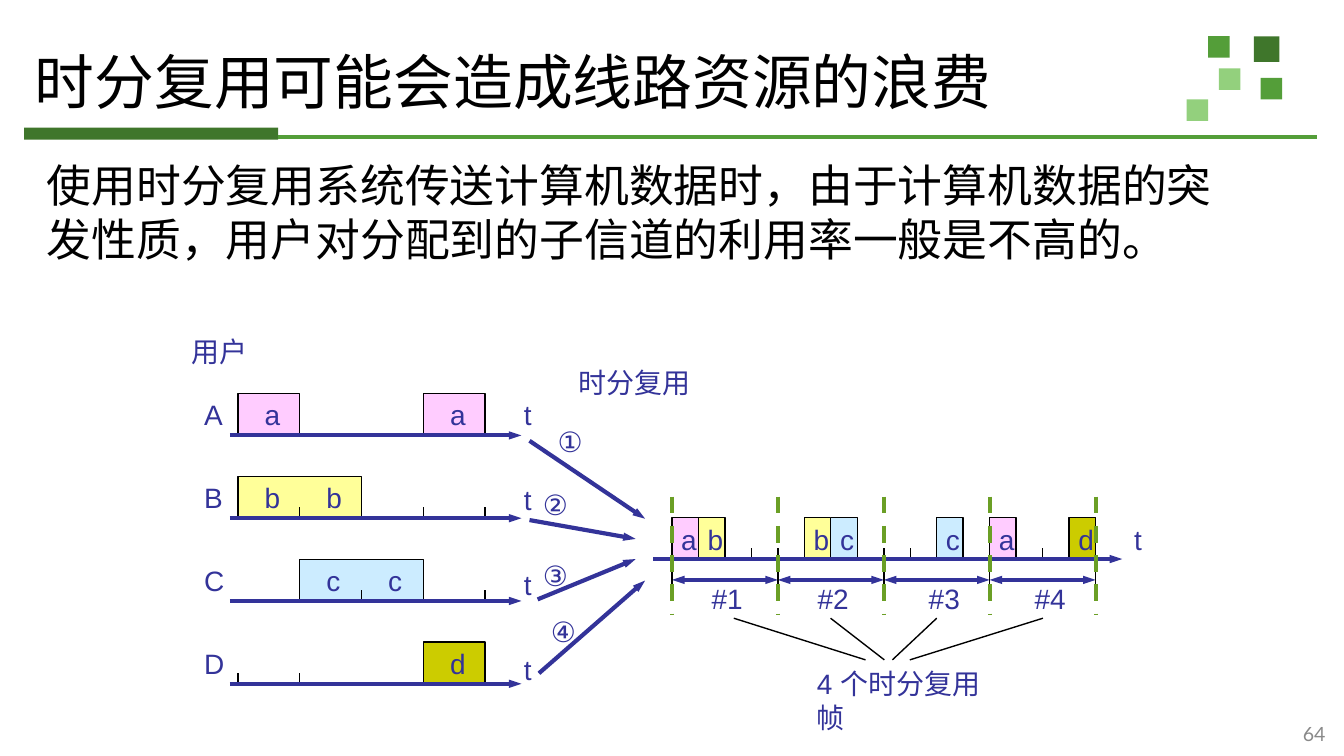
from dataclasses import dataclass

from lxml.etree import SubElement
from pptx import Presentation
from pptx.dml.color import RGBColor
from pptx.enum.dml import MSO_LINE
from pptx.enum.shapes import MSO_CONNECTOR, MSO_SHAPE
from pptx.enum.text import MSO_ANCHOR, PP_ALIGN
from pptx.oxml.ns import qn
from pptx.util import Inches, Pt


@dataclass(frozen=True)
class Theme:
    ink: str = "333399"
    black: str = "000000"
    grey: str = "898989"
    dark: str = "3F762B"
    green: str = "549E39"
    light: str = "93D07D"
    dash: str = "6B9F25"
    title: float = 32
    body: float = 24
    label: float = 15
    page: float = 10.5
    thin: float = 0.75
    thick: float = 2.25
    sans: str = "Arial"
    serif: str = "Times New Roman"
    hans: str = "Noto Sans CJK SC"


@dataclass(frozen=True)
class Grid:
    """Columns and rows counted from an origin, in inches."""
    left: float
    top: float
    col: float
    row: float

    def at(self, col: float, row: float) -> tuple[float, float]:
        return self.left + col * self.col, self.top + row * self.row


@dataclass(frozen=True)
class Block:
    col: int
    row: int
    span: int
    name: str


THEME = Theme()
PAGE = Grid(0, 0, 0.1, 0.1)
USERS = Grid(1.77, 3.24, 0.46, 0.616)
MUX = Grid(5, 4.16, 0.197, 0.31)
TIMES = Grid(3.8, 2.91, 0, 0.633)
FILLS = {"a": "FFCCFF", "b": "FFFF99", "c": "CCECFF", "d": "CCCC00"}
HIGH, TICK, LIFT = 0.31, 0.08, 0.33

SENT = [Block(0, 0, 1, "a"), Block(3, 0, 1, "a"), Block(0, 1, 2, "b"),
        Block(1, 2, 2, "c"), Block(3, 3, 1, "d")]
MERGED = [Block(6, 0, 1, "c"), Block(10, 0, 1, "c"), Block(12, 0, 1, "a"),
          Block(15, 0, 1, "d"), Block(5, 0, 1, "b"), Block(1, 0, 1, "b"),
          Block(0, 0, 1, "a")]
# Ticks as (column, row)
USER_TICKS = [(1, 1), (3, 1), (4, 1), (2, 2), (4, 2), (0, 3), (1, 3)]
MUX_TICKS = [(2, 0), (3, 0), (4, 0), (8, 0), (9, 0), (14, 0)]
# Page columns and rows: start, end
FLOWS = [(39.4, 32.8, 48, 38.6), (39.4, 38.7, 47.3, 40.1),
         (40, 44.6, 47.3, 41.6), (40.1, 50.1, 48, 43.2)]
LEADS = [(54.6, 46, 64.4, 49.1), (61.8, 46, 65.8, 49.1),
         (69.7, 46, 66.4, 49.1), (67.7, 49.1, 77.6, 46)]
# Page columns and rows, width in columns
NOTES = [("用户", 13.3, 24.4, 6.2), ("时分复用", 42.1, 26.7, 10.4),
         ("①", 40.5, 31.1, 4.1), ("②", 39.4, 35.8, 4.1),
         ("③", 39.4, 41.1, 4.1), ("④", 40, 45.2, 4.1)]
SQUARES = [(93.3, 2.7, 1.9, THEME.dark), (89.9, 2.7, 1.6, THEME.green),
           (93.8, 5.8, 1.6, THEME.green), (90.7, 5.1, 1.6, THEME.light),
           (88.3, 7.4, 1.6, THEME.light)]

deck = Presentation()
deck.slide_width = Inches(10)
deck.slide_height = deck.slide_width * 9 // 16
slide = deck.slides.add_slide(deck.slide_layouts[6])
shapes = slide.shapes


def rect(col: float, row: float, wide: float, high: float, fill: str) -> None:
    box = shapes.add_shape(MSO_SHAPE.RECTANGLE,
                           *map(Inches, PAGE.at(col, row) + PAGE.at(wide, high)))
    box.shadow.inherit = False
    box.fill.solid()
    box.fill.fore_color.rgb = RGBColor.from_string(fill)
    box.line.fill.background()


def line(start: tuple[float, float], end: tuple[float, float], hue: str = THEME.black,
         width: float = THEME.thin, heads: tuple[str, ...] = (), dash: bool = False) -> None:
    """Draw a straight line; heads names headEnd, tailEnd or both."""
    link = shapes.add_connector(MSO_CONNECTOR.STRAIGHT, *map(Inches, start + end))
    link.line.color.rgb = RGBColor.from_string(hue)
    link.line.width = Pt(width)
    if dash:
        link.line.dash_style = MSO_LINE.DASH
    for head in heads:
        SubElement(link.line._get_or_add_ln(), qn(f"a:{head}"), type="triangle", w="sm")
    SubElement(link._element.spPr, qn("a:effectLst"))


def arrow(start: tuple[float, float], end: tuple[float, float], both: bool = False) -> None:
    heads = ("headEnd", "tailEnd") if both else ("tailEnd",)
    line(start, end, THEME.ink, THEME.thick, heads)


def text(words: str, spot: tuple[float, float], wide: float, high: float = 0.35,
         size: float = THEME.label, hue: str = THEME.ink, font: str = THEME.sans,
         wrap: bool = False, east: str = THEME.sans):
    """Add a text box and return its frame; east is the font of Chinese text."""
    frame = shapes.add_textbox(*map(Inches, spot + (wide, high))).text_frame
    frame.text = words
    frame.word_wrap = wrap
    run = frame.paragraphs[0].runs[0]
    run.font.size = Pt(size)
    run.font.name = font
    run.font.color.rgb = RGBColor.from_string(hue)
    SubElement(run._r.get_or_add_rPr(), qn("a:ea"), typeface=east)
    return frame


def block(grid: Grid, item: Block) -> None:
    """Draw a slot outline that is open at its base."""
    left, base = grid.at(item.col, item.row)
    right, top = left + item.span * grid.col, base - HIGH
    pen = shapes.build_freeform(Inches(left), Inches(base), scale=1.0)
    pen.add_line_segments([(Inches(x), Inches(y)) for x, y in
                           ((left, top), (right, top), (right, base))], close=False)
    form = pen.convert_to_shape()
    form.shadow.inherit = False
    form.fill.solid()
    form.fill.fore_color.rgb = RGBColor.from_string(FILLS[item.name])
    form.line.color.rgb = RGBColor.from_string(THEME.black)
    form.line.width = Pt(THEME.thin)


def track(grid: Grid, items: list[Block], ticks: list[tuple[int, int]],
          shift: float, lift: float) -> None:
    """Draw blocks, ticks and one letter per slot, offset from the slot's foot."""
    for item in items:
        block(grid, item)
    for col, row in ticks:
        x, y = grid.at(col, row)
        line((x, y - TICK), (x, y))
    for item in items:
        for step in range(item.span):
            x, y = grid.at(item.col + step, item.row)
            text(item.name, (x + shift, y - lift), 0.32)


for col, row, side, hue in SQUARES:
    rect(col, row, side, side, hue)
rect(1.8, 9.5, 18.9, 0.9, THEME.dark)
line(PAGE.at(20.7, 10.2), PAGE.at(98, 10.2), THEME.green, 2)

head = text("时分复用可能会造成线路资源的浪费", PAGE.at(1.9, 2.8), 9.39, 0.71,
            THEME.title, THEME.black, THEME.serif, True, THEME.hans)
head.vertical_anchor = MSO_ANCHOR.MIDDLE
head.margin_left = head.margin_right = Inches(0.07)
head.margin_top = head.margin_bottom = Inches(0.04)
head.paragraphs[0].line_spacing = 0.9

body = text("使用时分复用系统传送计算机数据时，由于计算机数据的突发性质，"
            "用户对分配到的子信道的利用率一般是不高的。", PAGE.at(2.5, 11.2), 9.1, 0.91,
            THEME.body, THEME.black, THEME.hans, True, THEME.hans)
body.paragraphs[0].line_spacing = Pt(29)

track(USERS, SENT, USER_TICKS, 0.1, LIFT)
track(MUX, MERGED, MUX_TICKS, -0.03, 0.32)

for row, name in enumerate("ABCD"):
    x, y = USERS.at(0, row)
    text(name, (x - 0.35, y - LIFT), 0.34)
    text("t", TIMES.at(0, row), 0.26)
    arrow((x - 0.06, y), (x + 2.11, y))
arrow(PAGE.at(48.6, 41.6), PAGE.at(83.5, 41.6))
text("t", PAGE.at(83.4, 38.4), 0.26)

for frame, col in enumerate((1, 5, 9.2, 13.2)):
    arrow(MUX.at(frame * 4, 0.5), MUX.at(frame * 4 + 4, 0.5), both=True)
    text(f"#{frame + 1}", MUX.at(col, 0.39), 0.44)
for edge in range(0, 17, 4):
    line(MUX.at(edge, 0.25), MUX.at(edge, 0.75))
    line(MUX.at(edge, -1.5), MUX.at(edge, 1.35), THEME.dash, THEME.thick, dash=True)

for x1, y1, x2, y2 in FLOWS:
    arrow(PAGE.at(x1, y1), PAGE.at(x2, y2))
for x1, y1, x2, y2 in LEADS:
    line(PAGE.at(x1, y1), PAGE.at(x2, y2))
for words, col, row, wide in NOTES:
    text(words, PAGE.at(col, row), wide * PAGE.col)
text("4 个时分复用帧", PAGE.at(59.8, 49.1), 1.55, wrap=True)

number = text("64", PAGE.at(93.8, 53.2), 0.58, 0.3, THEME.page, THEME.grey, "Lato", True)
number.paragraphs[0].alignment = PP_ALIGN.RIGHT

deck.save("out.pptx")
